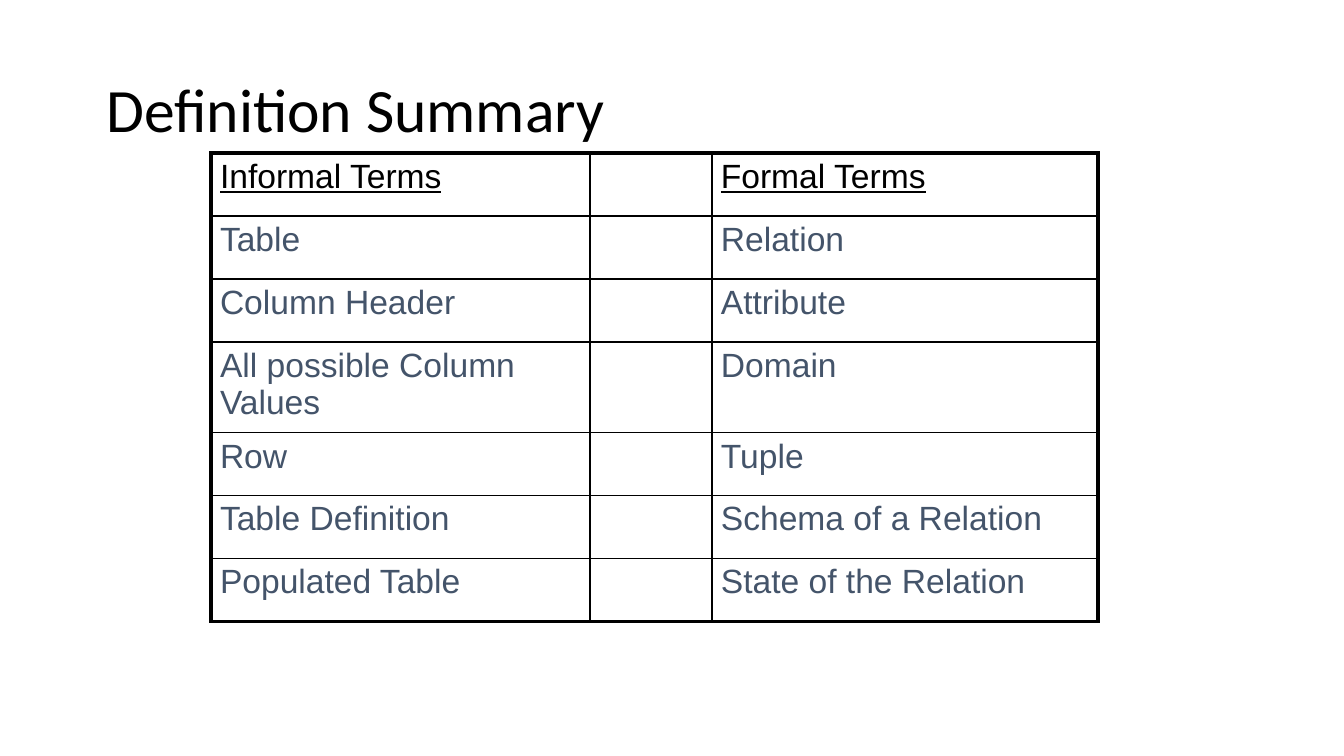
from dataclasses import dataclass

from lxml import etree
from pptx import Presentation
from pptx.dml.color import RGBColor
from pptx.enum.text import MSO_ANCHOR
from pptx.oxml.ns import qn
from pptx.util import Pt

MIDDLE = MSO_ANCHOR.MIDDLE

# Content
TITLE = "Definition Summary"
TERMS = [
    ("Informal Terms", "", "Formal Terms"),
    ("Table", "", "Relation"),
    ("Column Header", "", "Attribute"),
    ("All possible Column Values", "", "Domain"),
    ("Row", "", "Tuple"),
    ("Table Definition", "", "Schema of a Relation"),
    ("Populated Table", "", "State of the Relation"),
]

# Layout in px
SLIDE = (1344, 756)
TITLE_BOX = (93, 40, 1159, 146)
CORNER = (211, 153)
COLS = (379, 122, 386)
ROW, TALL, TALL_ROW = 63, 90, 3
PAD_X, PAD_Y = 9, 5


@dataclass(frozen=True)
class Theme:
    black: str = "000000"
    slate: str = "44546A"
    title_font: str = "Calibri"
    body_font: str = "Arial"
    title_size: float = 33
    body_size: float = 18
    thin: float = 1
    thick: float = 2.25


THEME = Theme()


def px(n):
    return round(n * 914400 / 134.4)


def style(font, name, size, color):
    font.name = name
    font.size = Pt(size)
    font.color.rgb = RGBColor.from_string(color)


def add_edges(cell, widths):
    """Draw the left, right, top and bottom borders, in that order."""
    props = cell._tc.get_or_add_tcPr()
    for i, (side, width) in enumerate(zip("LRTB", widths)):
        line = etree.Element(qn(f"a:ln{side}"), w=str(Pt(width)))
        fill = etree.SubElement(line, qn("a:solidFill"))
        etree.SubElement(fill, qn("a:srgbClr"), val=THEME.black)
        props.insert(i, line)


def add_title(slide):
    box = slide.shapes.add_textbox(*map(px, TITLE_BOX))
    frame = box.text_frame
    frame.word_wrap = True
    frame.vertical_anchor = MIDDLE
    frame.text = TITLE
    para = frame.paragraphs[0]
    para.line_spacing = 0.9
    style(para.runs[0].font, THEME.title_font, THEME.title_size, THEME.black)


def add_terms(slide):
    rows = [TALL if r == TALL_ROW else ROW for r in range(len(TERMS))]
    size = (sum(COLS), sum(rows))
    table = slide.shapes.add_table(
        len(rows), len(COLS), *map(px, CORNER + size)).table
    table.first_row = table.horz_banding = False
    for col, width in zip(table.columns, COLS):
        col.width = px(width)
    for row, height in zip(table.rows, rows):
        row.height = px(height)

    for r, texts in enumerate(TERMS):
        for c, text in enumerate(texts):
            cell = table.cell(r, c)
            cell.margin_left = cell.margin_right = px(PAD_X)
            cell.margin_top = cell.margin_bottom = px(PAD_Y)
            cell.fill.background()
            # The outer frame is thick, the inner grid thin
            outer = (c == 0, c == len(COLS) - 1, r == 0, r == len(rows) - 1)
            add_edges(cell, [THEME.thick if o else THEME.thin for o in outer])
            cell.text_frame.text = text
            for run in cell.text_frame.paragraphs[0].runs:
                color = THEME.black if r == 0 else THEME.slate
                style(run.font, THEME.body_font, THEME.body_size, color)
                run.font.underline = r == 0


def main():
    deck = Presentation()
    deck.slide_width, deck.slide_height = map(px, SLIDE)
    slide = deck.slides.add_slide(deck.slide_layouts[6])
    add_title(slide)
    add_terms(slide)
    deck.save("out.pptx")


if __name__ == "__main__":
    main()
